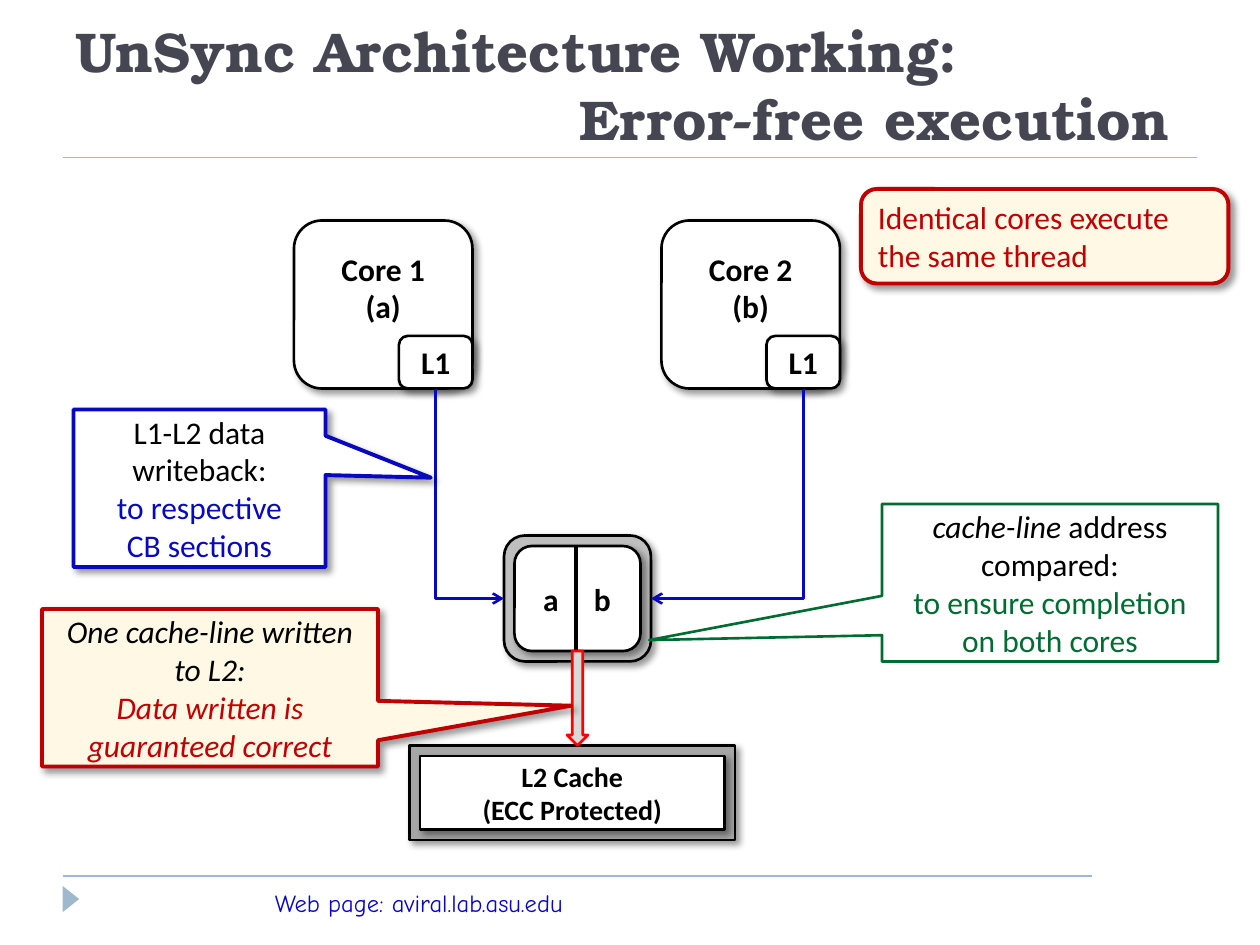
from lxml import etree
from pptx import Presentation
from pptx.dml.color import RGBColor
from pptx.enum import shapes, text
from pptx.oxml import ns
from pptx.util import Pt

SHAPE, ALIGN, ANCHOR = shapes.MSO_SHAPE, text.PP_ALIGN, text.MSO_ANCHOR
BLACK, WHITE, BLUE, GREEN, RED = "000000", "FFFFFF", "0808C0", "006C31", "C00000"
CREAM, RULE = "FEF8E4", "9FB8CD"
BOLD = dict(size=Pt(18), name="Calibri", bold=True)
PLAIN = dict(size=Pt(18), name="Calibri")
SMALL = dict(BOLD, size=Pt(16))
TITLE = dict(size=Pt(32), name="TeX Gyre Bonum", bold=True)
FOOT = dict(size=Pt(14), name="Comic Neue")

RULES = [(36, 500.4, 624, 500.4), (36, 90, 684, 90)]
TITLE_LINES = [[("UnSync Architecture Working:", "464653", False)],
               [("Error-free execution", "464653", False)]]
FOOTER = [[("Web page: aviral.lab.asu.edu", BLUE, False)]]
CORES = [(168, "Core 1", "(a)", 1), (378, "Core 2", "(b)", 3)]
BUFFER = (288, 306, 84, 72)
CACHE = (234, 426, 186, 54)
CALLOUTS = [
    ((42, 234, 144, 90), (0.918, -0.067), WHITE, BLUE, 2.25, True,
     [[("L1-L2 data writeback:", BLACK, False)],
      [("to respective", BLUE, False)],
      [("CB sections", BLUE, False)]]),
    ((504, 288, 192, 90), (-1.193, 0.364), None, GREEN, 1.5, False,
     [[("cache-line", BLACK, True), (" address compared:", BLACK, False)],
      [("to ensure completion on both cores", GREEN, False)]]),
    ((24, 348, 192, 90), (1.075, 0.114), CREAM, RED, 2.25, True,
     [[("One cache-line written to L2:", BLACK, True)],
      [("Data written is guaranteed correct", RED, True)]]),
]
NOTE = [[("Identical cores execute the same thread", RED, False)]]

prs = Presentation()
prs.slide_width, prs.slide_height = Pt(720), Pt(540)
sl = prs.slides.add_slide(prs.slide_layouts[6])


def rgb(value):
    return RGBColor.from_string(value)


def pts(values):
    return [Pt(v) for v in values]


def inset(box, gap):
    x, y, w, h = box
    return x + gap, y + gap, w - 2 * gap, h - 2 * gap


def write(s, paragraphs, font, align=ALIGN.CENTER, anchor=ANCHOR.MIDDLE):
    tf = s.text_frame
    tf.word_wrap, tf.vertical_anchor = True, anchor
    for i, runs in enumerate(paragraphs):
        p = tf.add_paragraph() if i else tf.paragraphs[0]
        p.alignment = align
        for words, color, italic in runs:
            r = p.add_run()
            r.text = words
            for key, value in dict(font, italic=italic).items():
                setattr(r.font, key, value)
            r.font.color.rgb = rgb(color)
    return tf


def black(*lines):
    return [[(line, BLACK, False)] for line in lines]


def shape(kind, box, fill=WHITE, line=BLACK, width=1.5, shadow=True):
    s = sl.shapes.add_shape(kind, *pts(box))
    s.shadow.inherit = False
    if fill:
        s.fill.solid()
        s.fill.fore_color.rgb = rgb(fill)
    else:
        s.fill.background()
    if line:
        s.line.color.rgb, s.line.width = rgb(line), Pt(width)
    else:
        s.line.fill.background()
    if shadow:
        effects = s._element.spPr.find(ns.qn("a:effectLst"))
        outer = etree.SubElement(effects, ns.qn("a:outerShdw"), blurRad="50800",
                                 dist="38100", dir="2700000", algn="tl", rotWithShape="0")
        color = etree.SubElement(outer, ns.qn("a:srgbClr"), val=BLACK)
        etree.SubElement(color, ns.qn("a:alpha"), val="40000")
    return s


def connector(kind, ends, color, width):
    c = sl.shapes.add_connector(kind, *pts(ends))
    c.line.color.rgb, c.line.width = rgb(color), Pt(width)
    etree.SubElement(c._element.spPr, ns.qn("a:effectLst"))
    return c


def straight(ends, color, width):
    return connector(shapes.MSO_CONNECTOR.STRAIGHT, ends, color, width)


def down_then_across(source, target, side):
    x1, y1 = source.left + source.width // 2, source.top + source.height
    x2 = target.left + (target.width if side == 3 else 0)
    y2 = target.top + target.height // 2
    c = connector(shapes.MSO_CONNECTOR.ELBOW, (0, 0, 10, 10), BLUE, 1.5)
    c.begin_connect(source, 2)
    c.end_connect(target, side)
    drop, run = y2 - y1, abs(x2 - x1)
    c.left, c.top = (x1 + x2 - drop) // 2, (y1 + y2 - run) // 2
    c.width, c.height = drop, run
    sp = c._element.spPr
    xfrm = sp.find(ns.qn("a:xfrm"))
    xfrm.set("rot", "16200000" if side == 1 else "5400000")
    xfrm.set("flipH", "1" if side == 1 else "0")
    xfrm.set("flipV", "0")
    sp.find(ns.qn("a:prstGeom")).set("prst", "bentConnector2")
    etree.SubElement(c.line._get_or_add_ln(), ns.qn("a:tailEnd"), type="arrow")


for ends in RULES:
    straight(ends, RULE, 1)
marker = shape(SHAPE.ISOSCELES_TRIANGLE, (33, 509, 15, 9.5), RULE, None, shadow=False)
marker.rotation = 90
write(sl.shapes.add_textbox(*pts((150, 504, 270, 24.5))), FOOTER, FOOT,
      ALIGN.LEFT, ANCHOR.TOP)
tf = write(sl.shapes.add_textbox(*pts((36, 12, 648, 78))), TITLE_LINES, TITLE,
           ALIGN.LEFT, ANCHOR.BOTTOM)
tf.paragraphs[1]._p.get_or_add_pPr().set("marL", str(Pt(288)))

buffer = shape(SHAPE.ROUNDED_RECTANGLE, BUFFER, "BFBFBF")
caches = []
for x, name, thread, side in CORES:
    core = shape(SHAPE.ROUNDED_RECTANGLE, (x, 126, 102, 96))
    write(core, black(name, thread), BOLD).margin_bottom = Pt(23)
    l1 = shape(SHAPE.ROUNDED_RECTANGLE, (x + 60, 192, 42, 30))
    write(l1, black("L1"), BOLD)
    caches.append((l1, side))

halves = shape(SHAPE.ROUNDED_RECTANGLE, inset(BUFFER, 6))
tabs = etree.SubElement(halves.text_frame.paragraphs[0]._p.get_or_add_pPr(), ns.qn("a:tabLst"))
etree.SubElement(tabs, ns.qn("a:tab"), pos=str(Pt(29)), algn="l")
tf = write(halves, black("a\tb"), BOLD, ALIGN.LEFT)
tf.margin_left, tf.margin_right = Pt(13.5), 0

shape(SHAPE.RECTANGLE, CACHE, "A6A6A6")
write(shape(SHAPE.RECTANGLE, inset(CACHE, 6)), black("L2 Cache", "(ECC Protected)"), SMALL)
straight((329, 312, 329, 372), BLACK, 2.25)
for l1, side in caches:
    down_then_across(l1, buffer, side)
shape(SHAPE.DOWN_ARROW, (324, 372, 12, 54), "D9D9D9", "FF0000", shadow=False)

for box, tip, fill, line, width, shadow, paragraphs in CALLOUTS:
    s = shape(SHAPE.RECTANGULAR_CALLOUT, box, fill, line, width, shadow)
    s.adjustments[0], s.adjustments[1] = tip
    write(s, paragraphs, PLAIN)
write(shape(SHAPE.ROUNDED_RECTANGLE, (492, 108, 210, 54), CREAM, RED, 2.25),
      NOTE, PLAIN, ALIGN.LEFT)

prs.save("out.pptx")
